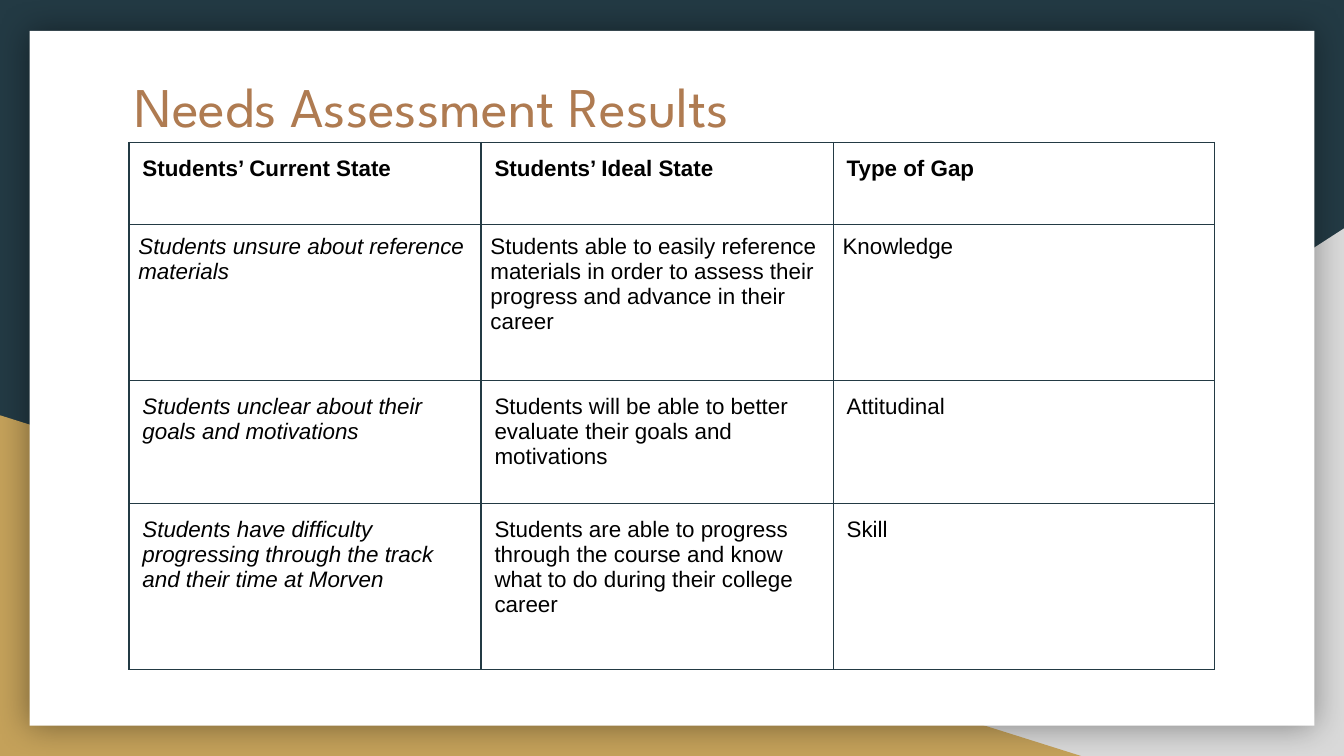
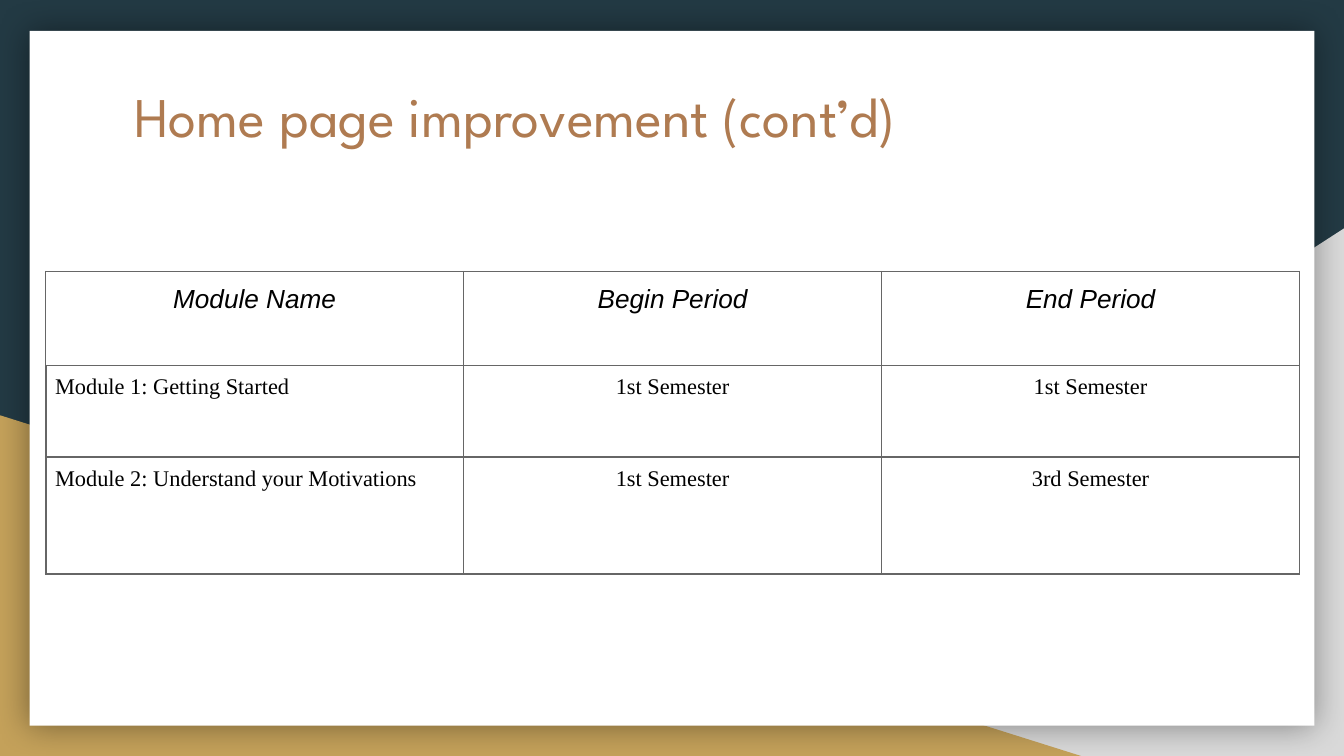
from lxml.etree import SubElement
from pptx import Presentation
from pptx.dml.color import RGBColor
from pptx.enum.shapes import MSO_SHAPE as Preset
from pptx.enum.text import MSO_ANCHOR as Anchor, MSO_AUTO_SIZE as AutoSize, PP_ALIGN as Align
from pptx.oxml import parse_xml
from pptx.oxml.ns import nsdecls, qn
from pptx.util import Inches, Pt

# Shared colours and fonts
NAVY = RGBColor(0x23, 0x3A, 0x44)
GREY = RGBColor(0xD9, 0xD9, 0xD9)
GOLD = RGBColor(0xC4, 0xA1, 0x5A)
WHITE = RGBColor(0xFF, 0xFF, 0xFF)
BRONZE = RGBColor(0xAF, 0x7B, 0x51)
BLACK = RGBColor(0, 0, 0)
RULE_GREY = RGBColor(0x66, 0x66, 0x66)
TITLE_FONT, SANS, SERIF = "League Spartan", "Arial", "Times New Roman"

# Cell insets and rule weights
WIDE, NARROW = 0.1, 0.07
THIN, MEDIUM = 0.75, 1

GAP_ROWS = [
    ("Students’ Current State", "Students’ Ideal State", "Type of Gap"),
    ("Students unsure about reference materials",
     "Students able to easily reference materials in order to assess their "
     "progress and advance in their career", "Knowledge"),
    ("Students unclear about their goals and motivations",
     "Students will be able to better evaluate their goals and motivations",
     "Attitudinal"),
    ("Students have difficulty progressing through the track and their time at Morven",
     "Students are able to progress through the course and know what to do "
     "during their college career", "Skill"),
]
MODULE_ROWS = [
    ("Module Name", "Begin Period", "End Period"),
    ("Module 1: Getting Started", "1st Semester", "1st Semester"),
    ("Module 2: Understand your Motivations", "1st Semester", "3rd Semester"),
]


def write_text(frame, text, size=12, font=SANS, color=BLACK, bold=False,
               italic=False, align=Align.LEFT):
    frame.word_wrap = True
    paragraph = frame.paragraphs[0]
    paragraph.alignment = align
    run = paragraph.add_run()
    run.text = text
    run.font.size = Pt(size)
    run.font.name = font
    run.font.color.rgb = color
    run.font.bold = bold
    run.font.italic = italic


def set_insets(holder, inset):
    """Gives a text frame or a table cell the same inset on all sides."""
    holder.margin_left = holder.margin_right = Inches(inset)
    holder.margin_top = holder.margin_bottom = Inches(inset)


def add_panel(slide, preset, color, left, top, width, height):
    panel = slide.shapes.add_shape(preset, Inches(left), Inches(top),
                                   Inches(width), Inches(height))
    panel.shadow.inherit = False
    panel.fill.solid()
    panel.fill.fore_color.rgb = color
    panel.line.fill.background()
    return panel


def add_glow(panel, blur, opacity):
    effects = panel.element.spPr.find(qn("a:effectLst"))
    shadow = SubElement(effects, qn("a:outerShdw"), blurRad=str(Pt(blur)),
                        dist="0", dir="0", algn="ctr", rotWithShape="0")
    tint = SubElement(shadow, qn("a:srgbClr"), val=str(BLACK))
    SubElement(tint, qn("a:alpha"), val=str(opacity * 1000))


def build_backdrop(layout, slide):
    """Draws the backdrop on a slide, then moves it to the shared layout."""
    layout.background.fill.solid()
    layout.background.fill.fore_color.rgb = NAVY
    grey_corner = add_panel(slide, Preset.RIGHT_TRIANGLE, GREY, 3.92, 1.7, 6.08, 3.93)
    grey_corner.element.spPr.find(qn("a:xfrm")).set("flipH", "1")
    gold_corner = add_panel(slide, Preset.RIGHT_TRIANGLE, GOLD, 0, 3.09, 8.06, 2.54)
    page = add_panel(slide, Preset.RECTANGLE, WHITE, 0.22, 0.23, 9.56, 5.17)
    add_glow(page, blur=18, opacity=40)
    for position, part in enumerate((grey_corner, gold_corner, page), start=2):
        layout.shapes.element.insert(position, part.element)


def set_title(slide, text, top):
    title = slide.shapes.title
    title.left, title.top = Inches(0.9), Inches(top)
    title.width, title.height = Inches(8.21), Inches(1.04)
    frame = title.text_frame
    frame.auto_size = AutoSize.NONE
    frame.vertical_anchor = Anchor.TOP
    set_insets(frame, WIDE)
    write_text(frame, text, size=30, font=TITLE_FONT, color=BRONZE)


def set_borders(cell, color, weights):
    """Rules a cell; weights are given as left, right, top, bottom."""
    properties = cell._tc.get_or_add_tcPr()
    for index, (side, weight) in enumerate(zip("LRTB", weights)):
        properties.insert(index, parse_xml(
            f'<a:ln{side} {nsdecls("a")} w="{Pt(weight)}"><a:solidFill>'
            f'<a:srgbClr val="{color}"/></a:solidFill></a:ln{side}>'))


def add_ruled_table(slide, rows, left, top, widths, heights, cell_format, color, weights):
    """cell_format(row, column) gives inset and text options; weights(row) gives rules."""
    table = slide.shapes.add_table(
        len(rows), len(widths), Inches(left), Inches(top),
        Inches(sum(widths)), Inches(sum(heights))).table
    table.first_row = table.horz_banding = False
    for column, width in zip(table.columns, widths):
        column.width = Inches(width)
    for row, height in zip(table.rows, heights):
        row.height = Inches(height)
    for r, texts in enumerate(rows):
        for c, text in enumerate(texts):
            cell = table.cell(r, c)
            inset, options = cell_format(r, c)
            write_text(cell.text_frame, text, **options)
            set_insets(cell, inset)
            cell.fill.background()
            set_borders(cell, color, weights(r))


def gap_format(row, column):
    inset = NARROW if row == 1 else WIDE
    return inset, dict(bold=row == 0, italic=row > 0 and column == 0)


def module_format(row, column):
    if row == 0:
        return WIDE, dict(size=14, italic=True, align=Align.CENTER)
    return NARROW, dict(font=SERIF, align=Align.CENTER if column else Align.LEFT)


def build_needs_slide(slide):
    set_title(slide, "Needs Assessment Results", 0.43)
    add_ruled_table(slide, GAP_ROWS, 0.96, 1.06, [2.62, 2.62, 2.84],
                    [0.61, 1.16, 0.92, 1.23], gap_format, NAVY,
                    lambda row: [THIN] * 4)


def build_modules_slide(slide):
    set_title(slide, "Home page improvement (cont’d)", 0.51)
    add_ruled_table(slide, MODULE_ROWS, 0.34, 2.02, [3.11] * 3,
                    [0.7, 0.68, 0.87], module_format, RULE_GREY,
                    lambda row: [MEDIUM if row else THIN] * 3 + [MEDIUM])


def main():
    prs = Presentation()
    # Widescreen, 16:9
    prs.slide_width = Inches(10)
    prs.slide_height = Inches(10) * 9 // 16
    layout = prs.slide_layouts.get_by_name("Title Only")
    # Keep only the title on the shared layout
    for placeholder in list(layout.placeholders)[1:]:
        layout.shapes.element.remove(placeholder.element)

    needs = prs.slides.add_slide(layout)
    build_backdrop(layout, needs)
    build_needs_slide(needs)
    build_modules_slide(prs.slides.add_slide(layout))
    prs.save("out.pptx")


if __name__ == "__main__":
    main()
